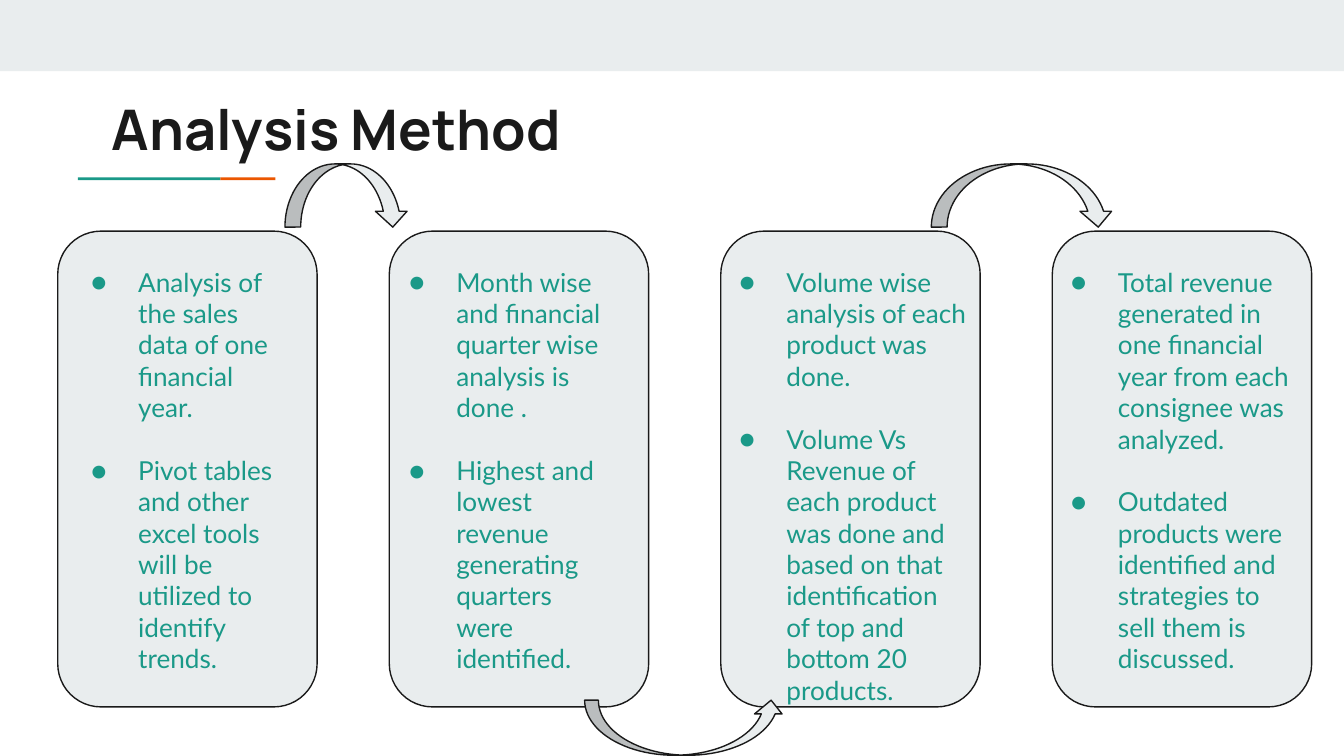
from lxml import etree
from pptx import Presentation
from pptx.dml.color import RGBColor
from pptx.enum.shapes import MSO_SHAPE as Shape
from pptx.enum.text import MSO_ANCHOR as Anchor, MSO_AUTO_SIZE as AutoSize, PP_ALIGN as Align
from pptx.oxml.ns import qn
from pptx.util import Inches, Pt

INK = RGBColor(0x1A, 0x1A, 0x1A)
TEAL = RGBColor(0x1A, 0x99, 0x88)
ORANGE = RGBColor(0xEB, 0x56, 0x00)
PALE = RGBColor(0xE9, 0xED, 0xEE)


def add_filled_shape(kind, left, top, width, height, fill, line=None):
    shape = slide.shapes.add_shape(
        kind, Inches(left), Inches(top), Inches(width), Inches(height))
    shape.shadow.inherit = False
    shape.fill.solid()
    shape.fill.fore_color.rgb = fill
    if line is None:
        shape.line.fill.background()
    else:
        shape.line.color.rgb = line
        shape.line.width = Pt(0.75)
    return shape


def write_text(shape, paragraphs, *, font, size, color, bold=False, bullet=None, gap=0):
    """Fill a shape with top-anchored paragraphs, separated by gap points."""
    frame = shape.text_frame
    frame.word_wrap = True
    frame.auto_size = AutoSize.NONE
    frame.vertical_anchor = Anchor.TOP
    frame.margin_left = frame.margin_right = Inches(0.1)
    frame.margin_top = frame.margin_bottom = Inches(0.1)
    for index, text in enumerate(paragraphs):
        paragraph = frame.paragraphs[0] if index == 0 else frame.add_paragraph()
        paragraph.alignment = Align.LEFT
        paragraph.line_spacing = 1.0
        paragraph.space_before = Pt(gap if index else 0)
        run = paragraph.add_run()
        run.text = text
        run.font.name = font
        run.font.size = Pt(size)
        run.font.bold = bold
        run.font.color.rgb = color
        if bullet:
            properties = paragraph._p.get_or_add_pPr()
            properties.set("marL", str(Inches(0.5)))
            properties.set("indent", str(Inches(-0.35)))
            bullet_color = etree.SubElement(properties, qn("a:buClr"))
            etree.SubElement(bullet_color, qn("a:srgbClr"), val=str(color))
            etree.SubElement(properties, qn("a:buFont"), typeface=font)
            etree.SubElement(properties, qn("a:buChar"), char=bullet)


presentation = Presentation()
presentation.slide_width = Inches(10)
presentation.slide_height = Inches(10) * 9 // 16
slide = presentation.slides.add_slide(presentation.slide_layouts[5])

# Header band and the two-coloured rule under the title
add_filled_shape(Shape.RECTANGLE, 0, 0, 10, 0.53, PALE)
add_filled_shape(Shape.RECTANGLE, 0.58, 1.32, 1.06, 0.02, TEAL)
add_filled_shape(Shape.RECTANGLE, 1.64, 1.32, 0.41, 0.02, ORANGE)

title = slide.shapes.title
title.left, title.top = Inches(0.73), Inches(0.6)
title.width, title.height = Inches(8.41), Inches(0.59)
write_text(title, ["Analysis Method"], font="Manrope", size=30, color=INK, bold=True)

# Step cards: text offset from the card, text width, text height, bullets
steps = [
    (0, 1.83, 3.27,
     ["Analysis of the sales data of one financial year.",
      "Pivot tables and other excel tools will be utilized to identify trends."]),
    (-0.1, 1.83, 3.27,
     ["Month wise and financial quarter wise analysis is done .",
      "Highest and lowest revenue generating quarters were identified."]),
    (-0.11, 2.04, 3.5,
     ["Volume wise analysis of each product was done.",
      "Volume Vs Revenue of each product was done and based on that "
      "identification of top and bottom 20 products."]),
    (-0.11, 2.04, 3.27,
     ["Total revenue generated in one financial year from each "
      "consignee was analyzed.",
      "Outdated products were identified and strategies to sell them "
      "is discussed."]),
]
FIRST_LEFT, LAST_LEFT = 0.43, 7.83
card_pitch = (LAST_LEFT - FIRST_LEFT) / (len(steps) - 1)
for index, (offset, text_width, text_height, bullets) in enumerate(steps):
    left = FIRST_LEFT + index * card_pitch
    add_filled_shape(Shape.FLOWCHART_ALTERNATE_PROCESS, left, 1.72, 1.93, 3.54, PALE, INK)
    text_box = slide.shapes.add_textbox(
        Inches(left + offset), Inches(1.88), Inches(text_width), Inches(text_height))
    write_text(text_box, bullets, font="Lato", size=14, color=TEAL, bullet="●", gap=16.8)

# Curved arrows leading from card to card
for kind, left, top, width, height in [
    (Shape.CURVED_DOWN_ARROW, 2.12, 1.22, 0.92, 0.47),
    (Shape.CURVED_UP_ARROW, 4.35, 5.21, 1.49, 0.41),
    (Shape.CURVED_DOWN_ARROW, 6.93, 1.22, 1.36, 0.47),
]:
    arrow = add_filled_shape(kind, left, top, width, height, PALE, INK)
    for position, value in enumerate((0.25, 0.5, 0.25)):
        arrow.adjustments[position] = value

presentation.save("out.pptx")
